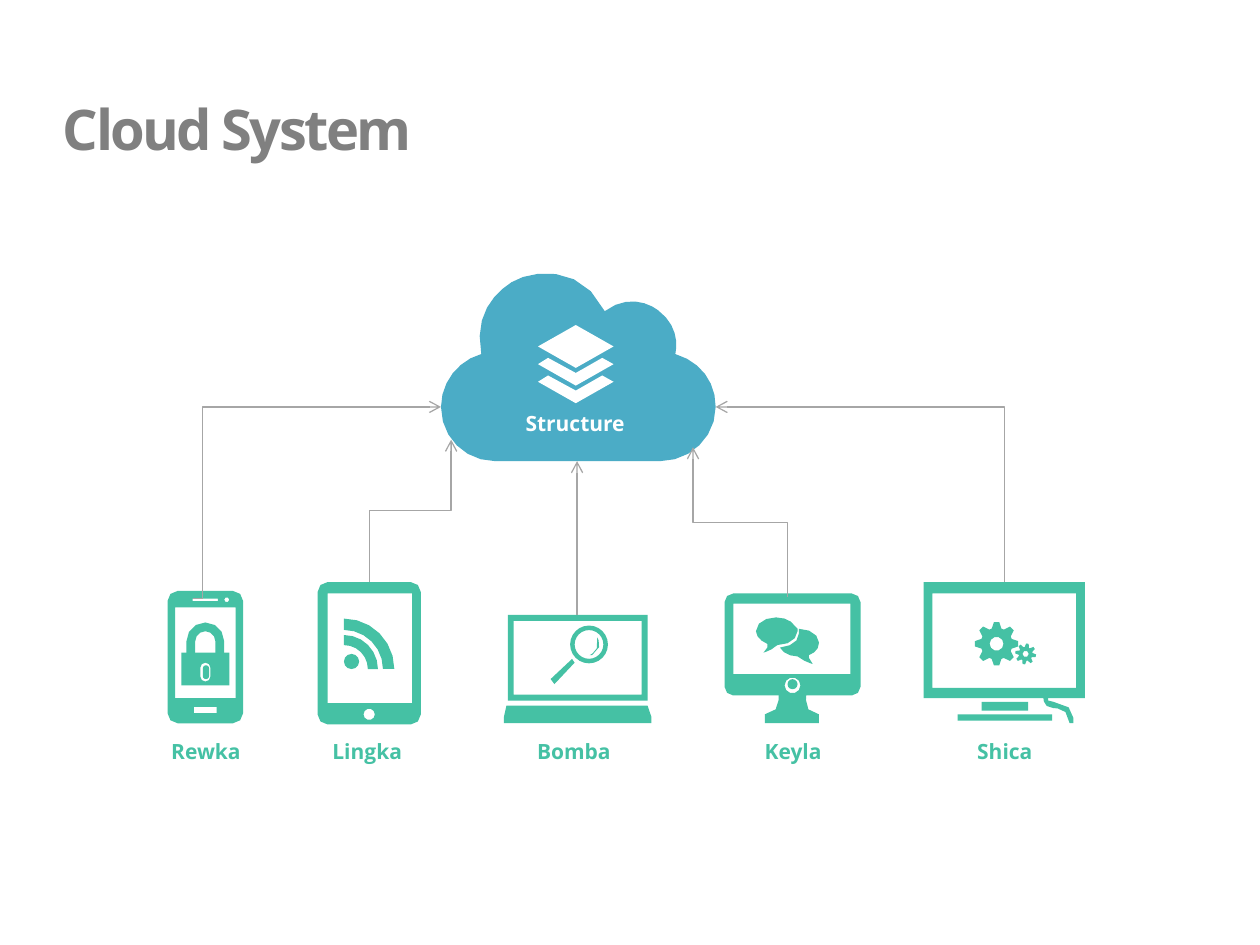
import math

import pptx
import pptx.dml.color
import pptx.enum.shapes
import pptx.enum.text
import pptx.oxml
import pptx.oxml.ns
import pptx.util

COLORS = {"title": "808080", "device": "45C1A4", "cloud": "4BACC6", "line": "A6A6A6", "white": "FFFFFF"}
COLUMNS, ROWS = 1000, 750
CELL = pptx.util.Inches(10) // COLUMNS
SHAPES = pptx.enum.shapes.MSO_SHAPE
ALIGN = pptx.enum.text.PP_ALIGN


def color(name):
    return pptx.dml.color.RGBColor.from_string(COLORS[name])


def cells(*values):
    return [round(value * CELL) for value in values]


def apply(target, values):
    for name, value in values.items():
        setattr(target, name, value)


def paint(shape, name):
    shape.shadow.inherit = False
    shape.fill.solid()
    shape.fill.fore_color.rgb = color(name)
    shape.line.fill.background()


def preset(slide, kind, area, adjustment=None):
    shape = slide.shapes.add_shape(kind, *cells(*area))
    if adjustment is not None:
        shape.adjustments[0] = adjustment
    paint(shape, "device")


def outline(slide, *contours, name="device"):
    first, *others = [[cells(*point) for point in contour] for contour in contours]
    builder = slide.shapes.build_freeform(*first[0], scale=1.0)
    builder.add_line_segments(first[1:], close=True)
    for contour in others:
        builder.move_to(*contour[0])
        builder.add_line_segments(contour[1:], close=True)
    paint(builder.convert_to_shape(), name)


def trace(*steps, count=3):
    points = []
    for step in steps:
        if len(step) == 2:
            points.append(step)
            continue
        knots = [points[-1], step[:2], step[2:4], step[4:]]
        for index in range(1, count + 1):
            t = index / count
            weights = [(1 - t) ** 3, 3 * t * (1 - t) ** 2, 3 * t * t * (1 - t), t ** 3]
            points.append(tuple(sum(w * knot[axis] for w, knot in zip(weights, knots)) for axis in (0, 1)))
    return points


def arc(x, y, radius, start, end, count=6):
    angles = [math.radians(start + (end - start) * index / count) for index in range(count + 1)]
    return [(x + radius * math.cos(a), y + radius * math.sin(a)) for a in angles]


def circle(x, y, radius, count=10):
    return arc(x, y, radius, 0, 360, count)[:-1]


def box(left, top, width, height, radius=0):
    right, bottom = left + width, top + height
    if not radius:
        return [(left, top), (right, top), (right, bottom), (left, bottom)]
    near, far, high, low = left + radius, right - radius, top + radius, bottom - radius
    corners = [(near, high, 180), (far, high, 270), (far, low, 0), (near, low, 90)]
    return [point for x, y, turn in corners for point in arc(x, y, radius, turn, turn + 90, 2)]


def gear(x, y, tip, root, turn=0, teeth=8):
    points = []
    for index in range(teeth):
        for radius, offset in ((root, -18), (tip, -7), (tip, 7), (root, 18)):
            angle = math.radians(turn + 360 * index / teeth + offset)
            points.append((x + radius * math.cos(angle), y + radius * math.sin(angle)))
    return points


def text(slide, content, area, name, size=12, align=ALIGN.CENTER, wrap=True, spacing=None):
    frame = slide.shapes.add_textbox(*cells(*area)).text_frame
    side, edge = cells(5, 3)
    apply(frame, {"word_wrap": wrap, "margin_left": side, "margin_right": side,
                  "margin_top": edge, "margin_bottom": edge,
                  "auto_size": pptx.enum.text.MSO_AUTO_SIZE.SHAPE_TO_FIT_TEXT})
    paragraph = frame.paragraphs[0]
    paragraph.alignment = align
    run = paragraph.add_run()
    run.text = content
    apply(run.font, {"name": "Open Sans", "size": pptx.util.Pt(size), "bold": True})
    run.font.color.rgb = color(name)
    if spacing:
        run.font._element.set("spc", str(spacing))


def arrow(slide, begin, end, bend=None, turn=0):
    if turn:
        center = [(a + b) / 2 for a, b in zip(begin, end)]
        begin, end = [(center[0] + turn * (y - center[1]), center[1] - turn * (x - center[0]))
                      for x, y in (begin, end)]
    kinds = pptx.enum.shapes.MSO_CONNECTOR
    kind = kinds.STRAIGHT if bend is None else kinds.ELBOW
    connector = slide.shapes.add_connector(kind, *cells(*begin, *end))
    connector.line.color.rgb = color("line")
    connector.line.width = pptx.util.Pt(0.75)
    properties = connector._element.spPr
    if turn:
        properties.xfrm.set("rot", str(turn * 90 % 360 * 60000))
    if bend is not None:
        guides = properties.prstGeom.get_or_add_avLst()
        guide = pptx.oxml.parse_xml(f'<a:gd {pptx.oxml.ns.nsdecls("a")} name="adj1" fmla="val {round(bend * 100000)}"/>')
        guides.append(guide)
    head = pptx.oxml.parse_xml(f'<a:tailEnd {pptx.oxml.ns.nsdecls("a")} type="arrow"/>')
    properties.find(pptx.oxml.ns.qn("a:ln")).append(head)
    properties.append(pptx.oxml.parse_xml(f'<a:effectLst {pptx.oxml.ns.nsdecls("a")}/>'))


def phone(slide):
    outline(slide, box(133, 469, 60, 105, 8), box(139, 482, 48, 72), box(153, 475, 20, 2),
            circle(180, 476, 2, 6), box(154, 561, 18, 5))
    outline(slide, box(144, 518, 38, 26), box(159, 526, 8, 15, 4))
    outline(slide, [(148, 519), *arc(163, 509, 15, 180, 360), (178, 519),
                    (171, 519), *arc(163, 509, 8, 360, 180), (155, 519)])
    preset(slide, SHAPES.ROUNDED_RECTANGLE, (161, 528, 5, 11), 0.5)


def tablet(slide):
    outline(slide, box(252, 462, 82, 113, 8), circle(293, 567, 4.5), box(260, 471, 67, 87))
    preset(slide, SHAPES.OVAL, (273, 519, 12, 12))
    for inner, outer in ((19, 27), (31, 40)):
        outline(slide, arc(273, 531, outer, -90, 0) + arc(273, 531, inner, 0, -90))


def laptop(slide):
    preset(slide, SHAPES.FRAME, (403, 488, 111, 68), 0.07)
    outline(slide, [(402, 560), (514, 560), (517, 569), (517, 574), (400, 574), (400, 569)])
    preset(slide, SHAPES.DONUT, (452.5, 496.5, 30, 30), 0.12)
    outline(slide, [(437, 539), (440, 543), (456, 526), (454, 523)])
    outline(slide, trace((474, 506), (477, 517, 468, 520, 468, 520), (470, 520), (480, 514, 474, 506, 474, 506)))


def desktop(slide):
    outline(slide, box(575, 471, 108, 81, 7), circle(629, 544, 6.3), box(582, 479, 93, 56))
    outline(slide, trace((618, 551), (618, 552, 620, 567, 607, 567), (607, 574), (650, 574),
                         (650, 567), (637, 567, 640, 552, 640, 551)))
    preset(slide, SHAPES.OVAL, (625, 539, 8, 8))
    outline(slide, trace((650, 510), (650, 504, 643, 499, 634, 499), (634, 503), (634, 509, 628, 513, 619, 514),
                         (621, 518, 627, 521, 633, 521), (638, 525, 645, 527, 645, 527),
                         (642, 522), (642, 520), (647, 518, 650, 515, 650, 510)))
    outline(slide, trace((631, 497), (629, 493, 623, 490, 616, 490), (608, 490, 600, 494, 600, 501),
                         (600, 505, 604, 509, 609, 511), (609, 514), (606, 518),
                         (606, 518, 613, 516, 617, 512), (626, 512, 633, 507, 633, 501), (633, 499)))


def television(slide):
    outline(slide, box(733, 462, 128, 92), box(740, 471, 114, 75))
    outline(slide, trace((828, 553), (828, 556, 829, 562, 836, 562), (836, 562, 849, 561, 849, 574),
                         (852, 574), (852, 574, 854, 557, 836, 557), (832, 556), (832, 553)))
    preset(slide, SHAPES.RECTANGLE, (779, 557, 37, 7))
    preset(slide, SHAPES.RECTANGLE, (760, 567, 75, 5))
    outline(slide, gear(791, 511, 17.3, 12.6), circle(791, 511, 5.5))
    outline(slide, gear(814, 519, 8.3, 5.5, 10), circle(814, 519, 2.5, 6))


def cloud(slide):
    outline(slide, trace((406, 224), (392, 233, 376, 250, 382, 281), (364, 286, 350, 303, 350, 323),
                         (350, 347, 369, 366, 393, 366), (524, 366), (548, 366, 568, 347, 568, 323),
                         (568, 303, 556, 287, 536, 281), (538, 272, 537, 257, 522, 246),
                         (514, 240, 497, 234, 480, 247), (461, 208, 420, 215, 406, 224), count=6), name="cloud")


def layers(slide):
    for top in (284, 298):
        outline(slide, [(457, top + 12), (435, top), (427, top + 5), (457, top + 22),
                        (487, top + 5), (478, top)], name="white")
    outline(slide, [(487, 275), (457, 258), (427, 275), (457, 292)], name="white")


def main():
    presentation = pptx.Presentation()
    presentation.slide_width, presentation.slide_height = cells(COLUMNS, ROWS)
    slide = presentation.slides.add_slide(presentation.slide_layouts[6])
    text(slide, "Cloud System", (45, 72, 287, 59), "title", 32, ALIGN.LEFT, False, -150)
    cloud(slide)
    for draw in (phone, tablet, laptop, desktop, television):
        draw(slide)
    arrow(slide, (153, 475), (350, 323), bend=0.04)
    arrow(slide, (293, 462), (358, 349), bend=0.5, turn=1)
    arrow(slide, (797, 462), (568, 323), bend=0)
    arrow(slide, (625, 474), (550, 355), bend=0.5, turn=-1)
    arrow(slide, (458, 488), (458, 366))
    for content, left in (("Rewka", 105), ("Lingka", 233), ("Bomba", 397), ("Keyla", 571), ("Shica", 739)):
        text(slide, content, (left, 583, 117, 25), "device")
    layers(slide)
    text(slide, "Structure", (398, 323, 117, 25), "white")
    presentation.save("out.pptx")


if __name__ == "__main__":
    main()
